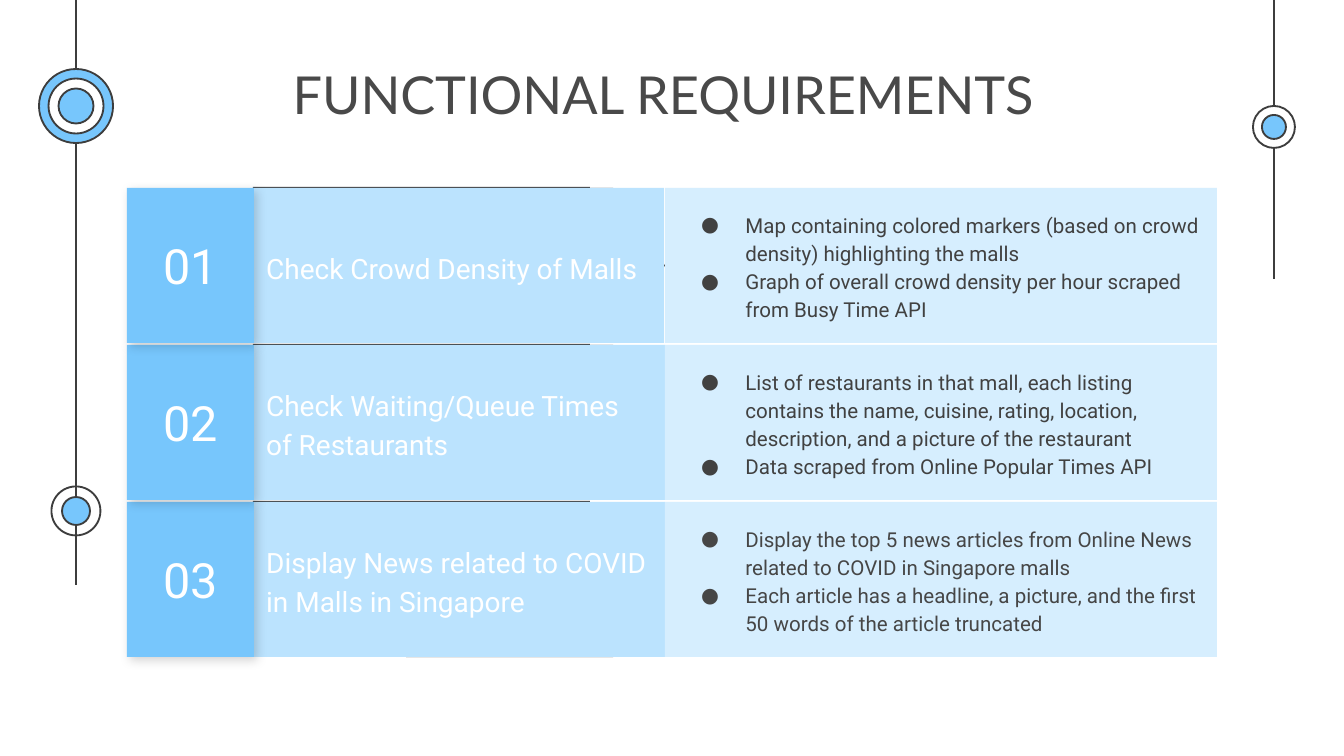
import pptx
import pptx.util
import pptx.dml.color
import pptx.enum.shapes
import pptx.enum.text
import pptx.oxml.ns
import lxml.etree

PX = 914400 / 134.4
SHAPES = pptx.enum.shapes.MSO_SHAPE
ALIGN = pptx.enum.text.PP_ALIGN
MIDDLE = pptx.enum.text.MSO_ANCHOR.MIDDLE
qn = pptx.oxml.ns.qn
SubElement = lxml.etree.SubElement

INK, BLUE, WHITE = "3D3D3D", "77C6FC", "FFFFFF"
PANEL_BLUE, PALE_BLUE = "BBE3FE", "D6EEFE"


def rgb(value):
    return pptx.dml.color.RGBColor.from_string(value)


def add_block(kind, left, top, width, height, fill=None, outline=None):
    block = slide.shapes.add_shape(
        kind, *(round(n * PX) for n in (left, top, width, height)))
    if fill:
        block.fill.solid()
        block.fill.fore_color.rgb = rgb(fill)
    else:
        block.fill.background()
    if outline:
        block.line.color.rgb = rgb(outline)
        block.line.width = pptx.util.Pt(1)
    else:
        block.line.fill.background()
    block.shadow.inherit = False
    frame = block.text_frame
    frame.word_wrap = True
    frame.vertical_anchor = MIDDLE
    frame.margin_left = frame.margin_right = pptx.util.Inches(0.1)
    frame.margin_top = frame.margin_bottom = pptx.util.Inches(0.1)
    return block


presentation = pptx.Presentation()
presentation.slide_width = round(1344 * PX)
presentation.slide_height = round(756 * PX)
slide = presentation.slides.add_slide(presentation.slide_layouts[5])

# Vertical lines at the two edges
for x, bottom in ((76, 585), (1274, 279)):
    edge_line = slide.shapes.add_connector(
        pptx.enum.shapes.MSO_CONNECTOR.STRAIGHT,
        round(x * PX), 0, round(x * PX), round(bottom * PX))
    edge_line.line.color.rgb = rgb(INK)
    edge_line.line.width = pptx.util.Pt(0.75)
    SubElement(edge_line._element.spPr, qn("a:effectLst"))

# Concentric rings on the lines: centre, then diameter and fill from outside in
rings = [
    (76, 106, ((74, BLUE), (55, WHITE), (35, BLUE))),
    (76, 511, ((49, None), (28, BLUE))),
    (1274, 127, ((42, WHITE), (24, BLUE))),
]
for x, y, circles in rings:
    for diameter, fill in circles:
        add_block(SHAPES.OVAL, x - diameter / 2, y - diameter / 2,
                  diameter, diameter, fill, INK)

# Title
title = slide.shapes.title
title.left, title.top = round(253 * PX), round(50 * PX)
title.width, title.height = round(820 * PX), round(87 * PX)
title.text_frame.text = "FUNCTIONAL REQUIREMENTS"
title.text_frame.auto_size = pptx.enum.text.MSO_AUTO_SIZE.NONE
title.text_frame.vertical_anchor = MIDDLE
heading = title.text_frame.paragraphs[0]
heading.alignment = ALIGN.CENTER
heading.font.name = "Lato"
heading.font.size = pptx.util.Pt(28)
heading.font.color.rgb = rgb("494949")

# Requirement rows: number, panel width, requirement, detail colour, details
requirements = [
    ("01", 411, "Check Crowd Density of Malls", "414141", (
        "Map containing colored markers (based on crowd density) "
        "highlighting the malls",
        "Graph of overall crowd density per hour scraped from Busy Time API")),
    ("02", 412, "Check Waiting/Queue Times of Restaurants", "414141", (
        "List of restaurants in that mall, each listing contains the name, "
        "cuisine, rating, location, description, and a picture of the restaurant",
        "Data scraped from Online Popular Times API")),
    ("03", 412, "Display News related to COVID in Malls in Singapore", "464646", (
        "Display the top 5 news articles from Online News related to COVID "
        "in Singapore malls",
        "Each article has a headline, a picture, and the first 50 words "
        "of the article truncated")),
]
ROW_TOP, ROW_PITCH, ROW_HEIGHT = 188, 157, 155

# The last row is drawn first, so each shadow falls on the row below
for index, row in reversed(list(enumerate(requirements))):
    number, panel_width, requirement, detail_colour, details = row
    top = ROW_TOP + index * ROW_PITCH

    # Dark backing and arrow, showing as a thin edge around the panel
    add_block(SHAPES.RECTANGLE, 253, top - 1, 337, ROW_HEIGHT, INK)
    arrow = add_block(SHAPES.FLOWCHART_OFFPAGE_CONNECTOR,
                      458, top - 52, ROW_HEIGHT, 259, INK)
    arrow.rotation = 270

    # Requirement panel
    panel = add_block(SHAPES.RECTANGLE, 253, top, panel_width, ROW_HEIGHT, PANEL_BLUE)
    panel.text_frame.text = requirement
    wording = panel.text_frame.paragraphs[0]
    wording.alignment = ALIGN.LEFT
    wording.line_spacing = 1.15
    wording.font.name = "Roboto"
    wording.font.size = pptx.util.Pt(15)
    wording.font.color.rgb = rgb(WHITE)

    # Number tile with a soft shadow
    tile = add_block(SHAPES.RECTANGLE, 127, top, 127, ROW_HEIGHT, BLUE)
    effects = tile._element.spPr.find(qn("a:effectLst"))
    shadow = SubElement(effects, qn("a:outerShdw"), blurRad="71120", dist="27940",
                        dir="2700000", algn="bl", rotWithShape="0")
    shade = SubElement(shadow, qn("a:srgbClr"), val="000000")
    SubElement(shade, qn("a:alpha"), val="17000")
    tile.text_frame.text = number
    numeral = tile.text_frame.paragraphs[0]
    numeral.alignment = ALIGN.CENTER
    numeral.font.name = "Roboto"
    numeral.font.size = pptx.util.Pt(26)
    numeral.font.color.rgb = rgb(WHITE)

    # Bulleted details
    detail_panel = add_block(SHAPES.RECTANGLE, 665, top, 552, ROW_HEIGHT, PALE_BLUE)
    detail_panel.text_frame.text = "\n".join(details)
    for detail in detail_panel.text_frame.paragraphs:
        detail.alignment = ALIGN.LEFT
        detail.line_spacing = 1.15
        properties = detail._p.get_or_add_pPr()
        properties.set("marL", str(pptx.util.Inches(0.5)))
        properties.set("indent", str(pptx.util.Inches(-0.33)))
        bullet_colour = SubElement(properties, qn("a:buClr"))
        SubElement(bullet_colour, qn("a:srgbClr"), val=detail_colour)
        SubElement(properties, qn("a:buFont"), typeface="Roboto")
        SubElement(properties, qn("a:buChar"), char="●")
        detail.font.name = "Roboto"
        detail.font.size = pptx.util.Pt(11)
        detail.font.color.rgb = rgb(detail_colour)

presentation.save("out.pptx")
